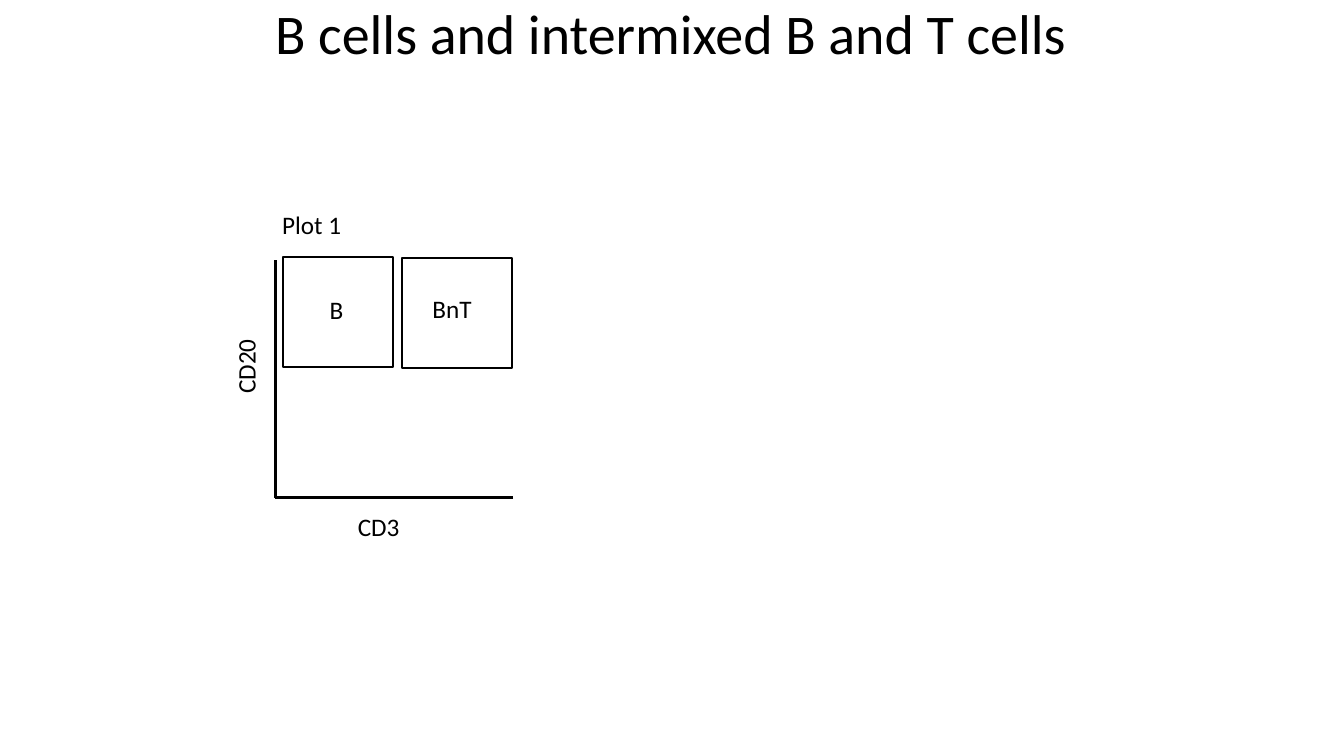
from lxml.etree import SubElement
from pptx import Presentation
from pptx.dml.color import RGBColor
from pptx.enum.shapes import MSO_CONNECTOR, MSO_SHAPE
from pptx.enum.text import MSO_ANCHOR, MSO_AUTO_SIZE, PP_ALIGN
from pptx.oxml.ns import qn
from pptx.util import Inches, Pt

BLACK = RGBColor(0x00, 0x00, 0x00)
FONT = "Calibri"
GATE_SIZE = 1.09
LABEL_HEIGHT = 0.4
AXIS_LEFT, AXIS_RIGHT = 2.73, 5.09
AXIS_TOP, AXIS_BOTTOM = 2.58, 4.94


def place(shape, left, top, width, height):
    shape.left, shape.top = Inches(left), Inches(top)
    shape.width, shape.height = Inches(width), Inches(height)


def add_run(paragraph, text, size):
    run = paragraph.add_run()
    run.text = text
    run.font.size = Pt(size)
    run.font.name = FONT
    run.font.color.rgb = BLACK


def set_title(slide, text):
    title = slide.shapes.title
    place(title, 2.23, 0.06, 8.84, 0.6)
    frame = title.text_frame
    frame.auto_size = MSO_AUTO_SIZE.NONE
    frame.word_wrap = True
    frame.vertical_anchor = MSO_ANCHOR.MIDDLE
    paragraph = frame.paragraphs[0]
    paragraph.alignment = PP_ALIGN.CENTER
    paragraph.line_spacing = 0.9
    add_run(paragraph, text, 40)


def add_axis(slide, start_x, start_y, end_x, end_y):
    axis = slide.shapes.add_connector(
        MSO_CONNECTOR.STRAIGHT,
        Inches(start_x), Inches(start_y), Inches(end_x), Inches(end_y),
    )
    axis.line.color.rgb = BLACK
    axis.line.width = Pt(2.25)
    SubElement(axis._element.spPr, qn("a:effectLst"))


def add_gate(slide, left, top):
    gate = slide.shapes.add_shape(
        MSO_SHAPE.RECTANGLE,
        Inches(left), Inches(top), Inches(GATE_SIZE), Inches(GATE_SIZE),
    )
    gate.shadow.inherit = False
    gate.fill.background()
    gate.line.color.rgb = BLACK
    gate.line.width = Pt(1.5)


def add_label(slide, text, left, top, width, rotation=0):
    label = slide.shapes.add_textbox(
        Inches(left), Inches(top), Inches(width), Inches(LABEL_HEIGHT)
    )
    label.rotation = rotation
    frame = label.text_frame
    frame.word_wrap = rotation != 0
    frame.auto_size = MSO_AUTO_SIZE.SHAPE_TO_FIT_TEXT
    add_run(frame.paragraphs[0], text, 18)


def main():
    presentation = Presentation()
    presentation.slide_width = Inches(13.33)
    presentation.slide_height = Inches(7.5)
    slide = presentation.slides.add_slide(presentation.slide_layouts[5])

    set_title(slide, "B cells and intermixed B and T cells")
    add_axis(slide, AXIS_LEFT, AXIS_TOP, AXIS_LEFT, AXIS_BOTTOM)
    add_axis(slide, AXIS_RIGHT, AXIS_BOTTOM, AXIS_LEFT, AXIS_BOTTOM)
    add_gate(slide, 2.81, 2.55)
    add_gate(slide, 3.99, 2.56)

    add_label(slide, "Plot 1", 2.7, 2.03, 0.79)
    add_label(slide, "CD20", 1.98, 3.35, 0.91, rotation=270)
    add_label(slide, "CD3", 3.45, 5.02, 0.62)
    add_label(slide, "B", 3.17, 2.87, 0.34)
    add_label(slide, "BnT", 4.19, 2.86, 0.59)

    presentation.save("out.pptx")


if __name__ == "__main__":
    main()
